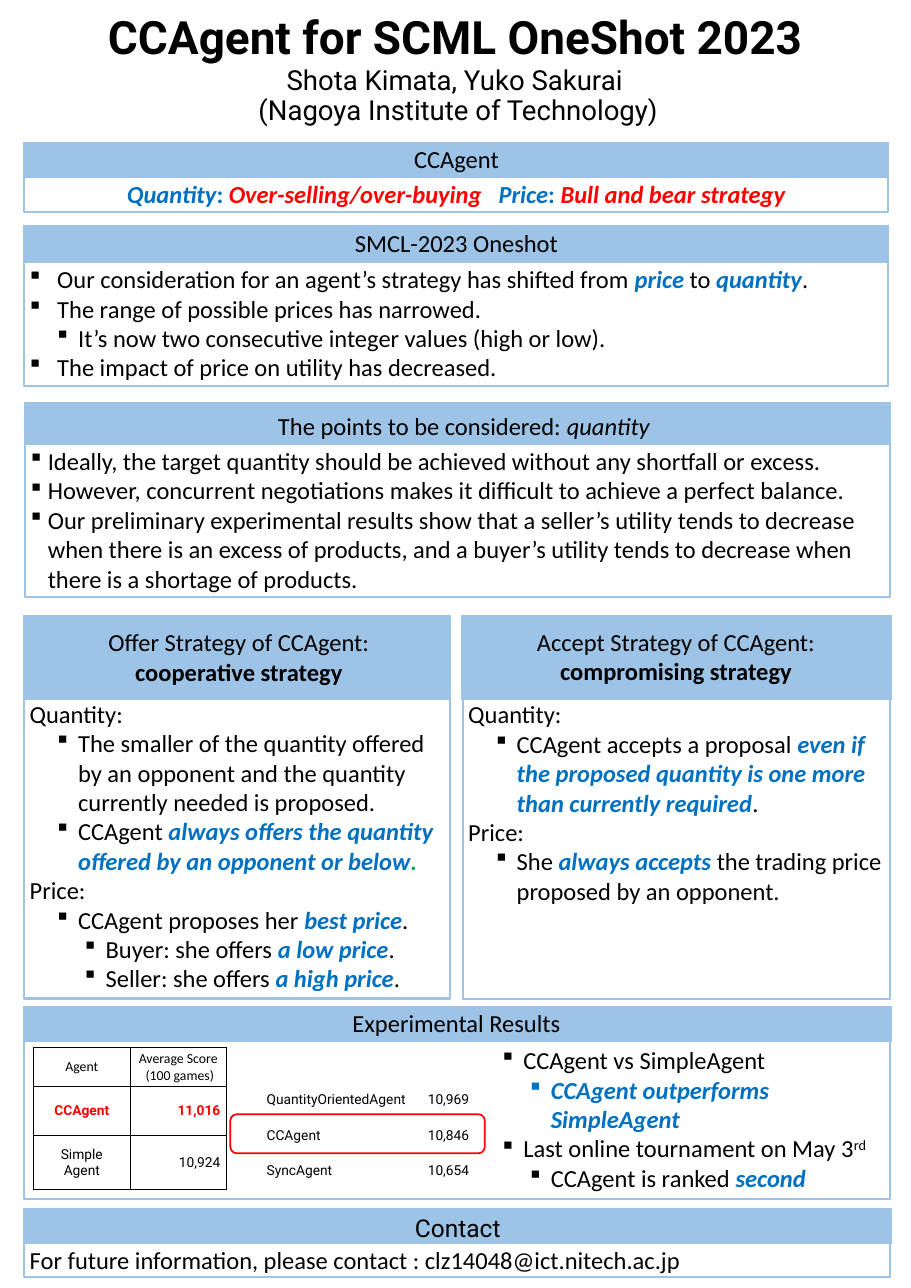
from lxml import etree
from pptx import Presentation
from pptx.dml.color import RGBColor
from pptx.enum.shapes import MSO_SHAPE
from pptx.enum.text import MSO_ANCHOR, PP_ALIGN
from pptx.oxml.ns import qn
from pptx.util import Emu, Inches, Pt

RECT, ROUND = MSO_SHAPE.RECTANGLE, MSO_SHAPE.ROUNDED_RECTANGLE
LEFT, MID, RIGHT = PP_ALIGN.LEFT, PP_ALIGN.CENTER, PP_ALIGN.RIGHT
TOP, CENTRE = MSO_ANCHOR.TOP, MSO_ANCHOR.MIDDLE
BLACK, BLUE, RED, GREEN = "000000", "0070C0", "FF0000", "00B050"
SKY, WHITE = "9DC3E6", "FFFFFF"
hue = RGBColor.from_string

# Run styles: bold, italic, colour; marked in text as [style words]
STYLES = {
    "bold": (True, False, BLACK), "slant": (False, True, BLACK),
    "key": (True, True, BLUE), "mark": (True, False, BLUE),
    "hot": (True, True, RED), "dot": (True, True, GREEN),
    "sup": (False, False, BLACK), "gap": (True, True, RED),
}
EXTRA = {"sup": ("baseline", "30000"), "gap": ("spc", "1450")}
# Bullets: level, margin, hanging indent
WIDE, SLIM, MAIN = (0, 0.5, 0.5), (0, 0.31, 0.31), (0, 0.38, 0.38)
SUB, LOW = (1, 0.88, 0.38), (2, 1.38, 0.38)

# A2 page on a grid of one-inch cells
CELL = Inches(1)
deck = Presentation()
deck.slide_width, deck.slide_height = Emu(15119350), Emu(21383250)
slide = deck.slides.add_slide(deck.slide_layouts[6])


def write(frame, paras, size=32, face="Calibri", align=LEFT, tint=BLACK, bold=False):
    """Fill a frame with plain strings or (bullet, string) pairs."""
    frame.word_wrap = True
    for n, item in enumerate(paras):
        para = frame.add_paragraph() if n else frame.paragraphs[0]
        bullet, text = (None, item) if isinstance(item, str) else item
        para.alignment = align
        font = para.font
        font.size, font.name, font.bold = Pt(size), face, bold
        font.color.rgb = hue(tint)
        if bullet:
            para.level, margin, hang = bullet
            props = para._p.get_or_add_pPr()
            props.set("marL", str(int(margin * CELL)))
            props.set("indent", str(int(-hang * CELL)))
            props.insert(0, etree.Element(qn("a:buFont"), typeface="Wingdings"))
            props.insert(1, etree.Element(qn("a:buChar"), char="§"))
        for k, part in enumerate(text.replace("]", "[").split("[")):
            style, _, words = part.partition(" ") if k % 2 else ("", "", part)
            for j, line in enumerate(words.split("\n")):
                if j:
                    para.add_line_break()
                if not line:
                    continue
                run = para.add_run()
                run.text = line
                if style:
                    run.font.bold, run.font.italic, shade = STYLES[style]
                    run.font.color.rgb = hue(shade)
                if style in EXTRA:
                    run._r.get_or_add_rPr().set(*EXTRA[style])


def box(at, paras=(), fill=None, line=None, width=1, kind=RECT, **look):
    """Add a shape, placed by left, top, width and height in cells."""
    shape = slide.shapes.add_shape(kind, *(int(v * CELL) for v in at))
    shape.shadow.inherit = False
    if fill:
        shape.fill.solid()
        shape.fill.fore_color.rgb = hue(fill)
    else:
        shape.fill.background()
    if line:
        shape.line.color.rgb = hue(line)
        shape.line.width = Pt(width)
    else:
        shape.line.fill.background()
    shape.text_frame.vertical_anchor = TOP
    write(shape.text_frame, paras, **look)
    return shape


# Title and authors
box((0.89, 0.11, 14.74, 1.11), ["CCAgent for SCML OneShot 2023"],
    size=60, face="Roboto", align=MID, bold=True)
team = box((1.49, 1.17, 13.65, 1.43),
           ["Shota Kimata, Yuko Sakurai \n(Nagoya Institute of Technology)"],
           size=36, face="Roboto", align=MID)
team.text_frame.paragraphs[0].line_spacing = 0.9

# Panels: left, width, band top, band height, body top, body height,
# heading left, top and width, heading, body text, body alignment
X, FULL = 0.42, 15.71
PANELS = [
    (X, FULL, 2.58, 0.65, 3.21, 0.64, 1.63, 2.57, 13.31, "CCAgent", [
        "[key Quantity][mark : ][hot Over-selling/over-buying][gap  ]"
        "[key Price][mark :][hot  Bull and bear strategy]"], MID),
    (X, FULL, 4.1, 0.65, 4.75, 2.26, 1.66, 4.09, 13.25, "SMCL-2023 Oneshot", [
        (WIDE, "Our consideration for an agent’s strategy has shifted from "
               "[key price ]to [key quantity]."),
        (WIDE, "The range of possible prices has narrowed."),
        (SUB, "It’s now two consecutive integer values (high or low)."),
        (WIDE, "The impact of price on utility has decreased.")], LEFT),
    (0.44, 15.73, 7.3, 0.73, 8.05, 2.79, 0.88, 7.42, 15.18,
     "The points to be considered: [slant quantity ]", [
        (SLIM, "Ideally, the target quantity should be achieved without any "
               "shortfall or excess."),
        (SLIM, "However, concurrent negotiations makes it difficult to achieve "
               "a perfect balance."),
        (SLIM, "Our preliminary experimental results show that a seller’s utility "
               "tends to decrease when there is an excess of products, and a "
               "buyer’s utility tends to decrease when there is a shortage of "
               "products.")], LEFT),
    (X, 7.76, 11.18, 1.51, 12.64, 5.49, 1.1, 11.34, 6.47,
     "Offer Strategy of CCAgent:\n[bold cooperative strategy]", [
        "Quantity:",
        (SUB, "The smaller of the quantity offered by an opponent and the "
              "quantity currently needed is proposed."),
        (SUB, "CCAgent [key always offers the quantity offered by an opponent "
              "or below][dot .]"),
        "Price:",
        (SUB, "CCAgent proposes her [key best price]."),
        (LOW, "Buyer: she offers [key a low price]."),
        (LOW, "Seller: she offers [key a high price].")], LEFT),
    (8.38, 7.79, 11.18, 1.51, 12.65, 5.49, 8.98, 11.33, 6.58,
     "Accept Strategy of CCAgent:\n[bold compromising strategy]", [
        "Quantity:",
        (SUB, "CCAgent accepts a proposal [key even if the proposed quantity is "
              "one more than currently required]."),
        "Price:",
        (SUB, "She [key always accepts ]the trading price proposed by an "
              "opponent.")], LEFT),
    (X, 15.75, 18.27, 0.63, 18.84, 2.93, 1.62, 18.26, 13.33,
     "Experimental Results", [], LEFT),
    (X, 15.75, 21.94, 0.64, 22.55, 0.64, 1.66, 21.97, 13.3, "Contact", [
        "For future information, please contact : clz14048@ict.nitech.ac.jp"], LEFT),
]
for x, wide, band, deep, body, tall, hx, hy, span, name, paras, align in PANELS:
    box((x, band, wide, deep), fill=SKY, line=SKY)
    box((x + 0.02, body, wide - 0.03, tall), paras, line=SKY, width=3, align=align)
    high = 1.18 if "\n" in name else 0.64
    face = "Roboto" if name == "Contact" else "Calibri"
    box((hx, hy, span, high), [name], face=face, align=MID)

# Score table
SCORES = [("Agent", "Average Score\n (100 games)"),
          ("CCAgent", "11,016"), ("Simple\nAgent", "10,924")]
table = slide.shapes.add_table(
    3, 2, *(int(v * CELL) for v in (0.6, 19.02, 3.5, 2.58))).table
table.first_row = table.horz_banding = False
for col, wide in zip(table.columns, (1.77, 1.73)):
    col.width = int(wide * CELL)
for r, (row, high) in enumerate(zip(SCORES, (0.71, 0.88, 0.99))):
    table.rows[r].height = int(high * CELL)
    for c, text in enumerate(row):
        cell = table.cell(r, c)
        cell.vertical_anchor = CENTRE
        cell.fill.background()
        write(cell.text_frame, [text], 18, "Roboto" if r else "Calibri",
              RIGHT if r and c else MID, RED if r == 1 else BLACK, r == 1)
        props = cell._tc.get_or_add_tcPr()
        for n, side in enumerate(("lnL", "lnR", "lnT", "lnB")):
            edge = etree.Element(qn("a:" + side), w=str(Pt(1)))
            ink = etree.SubElement(edge, qn("a:solidFill"))
            etree.SubElement(ink, qn("a:srgbClr"), val=BLACK)
            props.insert(n, edge)

# Tournament ranking, with the second place framed
box((4.18, 20.23, 4.62, 0.71), line=RED, width=2.25, kind=ROUND)
RANKS = [("QuantityOrientedAgent", "10,969", 2.89), ("CCAgent", "10,846", 1.82),
         ("SyncAgent", "10,654", 1.82)]
for n, (agent, score, wide) in enumerate(RANKS):
    y = 19.76 + 0.64 * n
    box((4.74, y, wide, 0.4), [agent], fill=WHITE, size=18, face="Roboto")
    box((7.55, y, 1.18, 0.4), [score], fill=WHITE, size=18, face="Roboto", align=MID)

# Findings
box((9.02, 18.93, 7, 2.79), [
    (MAIN, "CCAgent vs SimpleAgent"),
    (SUB, "[key CCAgent outperforms SimpleAgent]"),
    (MAIN, "Last online tournament on May 3[sup rd]"),
    (SUB, "CCAgent is ranked [key second]")])

deck.save("out.pptx")
